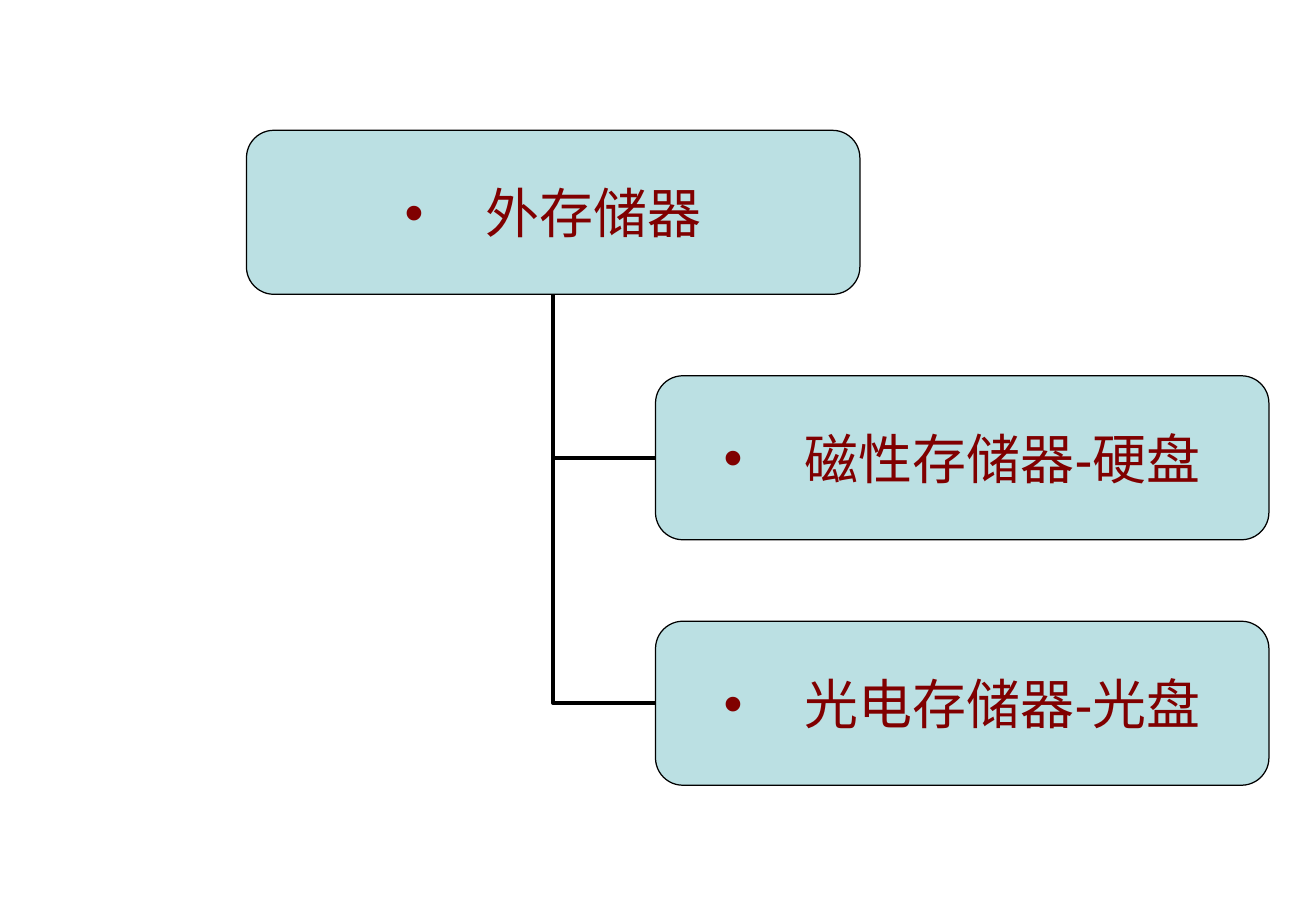
from lxml import etree
from pptx import Presentation
from pptx.dml.color import RGBColor
from pptx.enum.shapes import MSO_CONNECTOR, MSO_SHAPE
from pptx.enum.text import MSO_ANCHOR, PP_ALIGN
from pptx.oxml.ns import qn
from pptx.util import Pt

COLOURS = {"fill": "BBE0E3", "line": "000000", "text": "800000"}
FONT = "Arial"
PAGE_WIDTH, PAGE_HEIGHT = 780.48, 540
BOX_WIDTH, BOX_HEIGHT = 363.8, 97.2
ROOT_LEFT, ROOT_TOP = 146.2, 77.25
CHILD_LEFT = 388.8
ROW_STEP = 145.5
BULLET_INDENT = 48
LEFT_SITE, BOTTOM_SITE = 1, 2


def colour(name):
    return RGBColor.from_string(COLOURS[name])


def add_bullet(para):
    """Give a paragraph a hanging round bullet."""
    props = para._p.get_or_add_pPr()
    props.set("marL", str(Pt(BULLET_INDENT)))
    props.set("indent", str(-Pt(BULLET_INDENT)))
    bullet_colour = etree.SubElement(props, qn("a:buClr"))
    etree.SubElement(bullet_colour, qn("a:srgbClr"), val=COLOURS["text"])
    etree.SubElement(props, qn("a:buFont"), typeface=FONT)
    etree.SubElement(props, qn("a:buChar"), char="•")


def add_box(page, left, top, text):
    box = page.shapes.add_shape(
        MSO_SHAPE.ROUNDED_RECTANGLE, Pt(left), Pt(top), Pt(BOX_WIDTH), Pt(BOX_HEIGHT)
    )
    box.adjustments[0] = 0.167
    box.shadow.inherit = False
    box.fill.solid()
    box.fill.fore_color.rgb = colour("fill")
    box.line.color.rgb = colour("line")
    box.line.width = Pt(0.75)

    frame = box.text_frame
    frame.margin_left = frame.margin_right = Pt(0)
    frame.margin_top = frame.margin_bottom = Pt(0)
    frame.vertical_anchor = MSO_ANCHOR.MIDDLE
    frame.word_wrap = False
    frame.text = text
    para = frame.paragraphs[0]
    para.alignment = PP_ALIGN.CENTER
    add_bullet(para)
    span = para.runs[0]
    span.font.name = FONT
    span.font.size = Pt(32)
    span.font.color.rgb = colour("text")
    return box


def add_link(page, child, root):
    """Join the left of a child to the bottom of the root with one bend."""
    link = page.shapes.add_connector(
        MSO_CONNECTOR.ELBOW,
        child.left,
        child.top + child.height // 2,
        root.left + root.width // 2,
        root.top + root.height,
    )
    link.begin_connect(child, LEFT_SITE)
    link.end_connect(root, BOTTOM_SITE)
    link.line.color.rgb = colour("line")
    link.line.width = Pt(2.25)
    props = link.element.spPr
    props.find(qn("a:prstGeom")).set("prst", "bentConnector2")
    etree.SubElement(props, qn("a:effectLst"))
    # Links lie behind the boxes
    page.shapes.element.insert(2, link.element)


def main():
    deck = Presentation()
    deck.slide_width = Pt(PAGE_WIDTH)
    deck.slide_height = Pt(PAGE_HEIGHT)
    page = deck.slides.add_slide(deck.slide_layouts[6])

    # Root and its two kinds of storage
    root = add_box(page, ROOT_LEFT, ROOT_TOP, "外存储器")
    for row, text in enumerate(["磁性存储器-硬盘", "光电存储器-光盘"], start=1):
        child = add_box(page, CHILD_LEFT, ROOT_TOP + row * ROW_STEP, text)
        add_link(page, child, root)

    deck.save("out.pptx")


if __name__ == "__main__":
    main()
